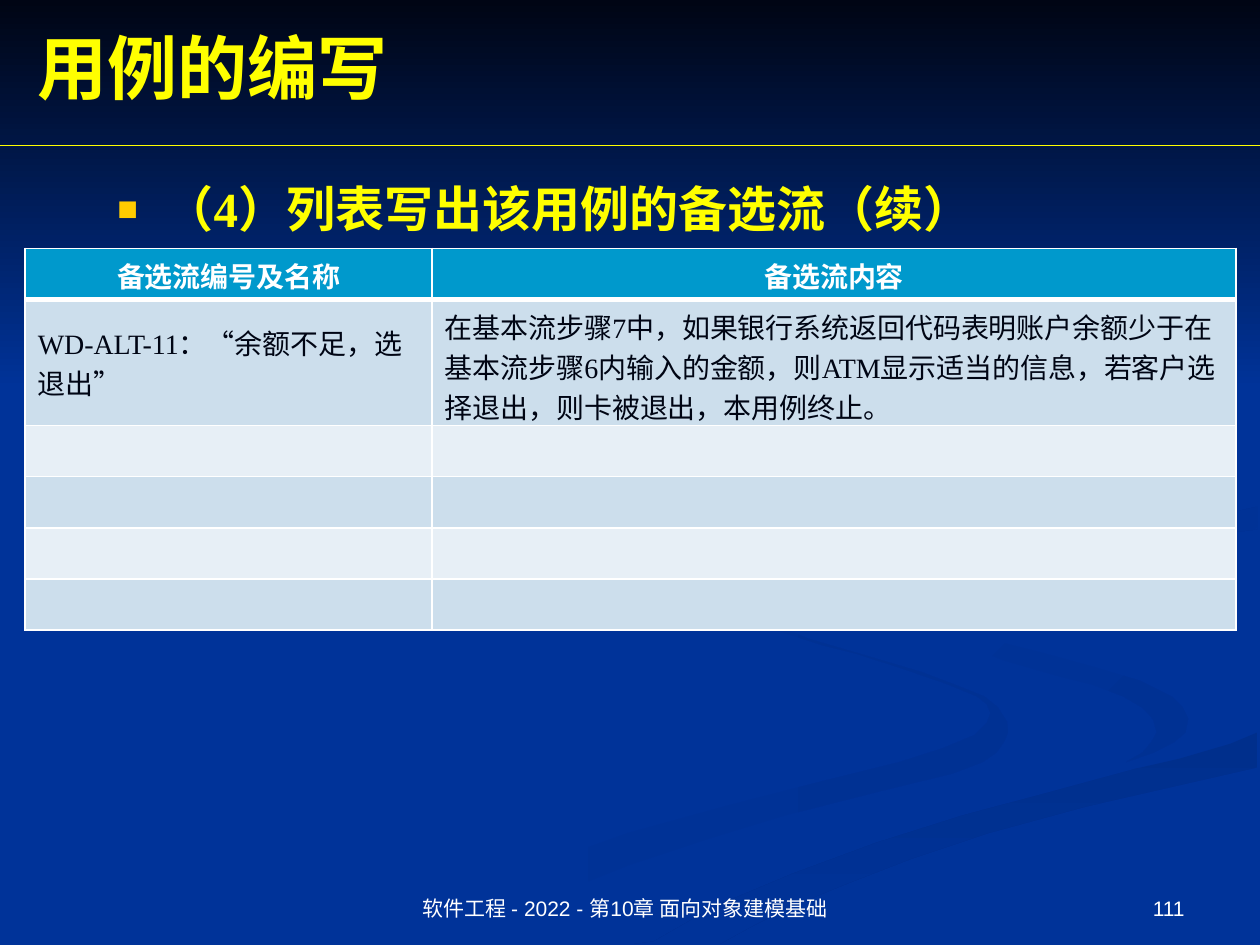
from lxml import etree
from pptx import Presentation
from pptx.dml.color import RGBColor
from pptx.enum.shapes import MSO_CONNECTOR
from pptx.enum.text import MSO_ANCHOR, PP_ALIGN
from pptx.oxml.ns import qn
from pptx.util import Pt

LEFT, CENTER, RIGHT = PP_ALIGN.LEFT, PP_ALIGN.CENTER, PP_ALIGN.RIGHT
TOP, MIDDLE, BOTTOM = MSO_ANCHOR.TOP, MSO_ANCHOR.MIDDLE, MSO_ANCHOR.BOTTOM
STRAIGHT = MSO_CONNECTOR.STRAIGHT

WIDTH, HEIGHT = 720, 540
BLUE, NIGHT, YELLOW, WHITE = "003399", "000514", "FFFF00", "FFFFFF"
AMBER, HEADER = "FFCC00", "0099CC"
BANDS = ["CCDEEC", "E7EFF6"]
SERIF, SANS = "Times New Roman", "Arial"

# Ribbon outlines as points, with start colour, end colour and angle
RIBBONS = [
    ([(414, 330.5), (410.5, 338.5), (422, 350.5), (440, 359), (471, 369),
      (489, 373.5), (514, 381.5), (541.5, 391), (558.5, 398), (564, 402.5),
      (566, 407.5), (564, 413), (557, 420), (539, 427.5), (514, 435.5),
      (469.5, 446.5), (417, 460), (359, 476), (300, 497), (243.5, 523.5),
      (216, 539.5), (260, 539.5), (310.5, 514), (359, 494.5), (406, 479),
      (448.5, 466), (503.5, 452), (544.5, 442), (561.5, 435.5), (569.5, 430),
      (574, 423.5), (576, 418.5), (575.5, 412.5), (570, 404), (562.5, 398),
      (545, 391), (526.5, 384), (491, 373.5), (462, 365), (442, 357),
      (427.5, 349), (417, 340.5)], BLUE, "003193", 0),
    ([(679, 410.5), (676, 404.5), (669.5, 398), (661.5, 394), (651.5, 389),
      (626.5, 381.5), (597.5, 373.5), (570, 366.5), (545.5, 358.5),
      (528, 348), (521.5, 334), (522, 341), (528, 351.5), (537, 360),
      (551.5, 368.5), (574, 377.5), (603.5, 386), (625, 391.5),
      (642, 398), (653, 404.5), (659, 411), (661, 418.5), (658, 424),
      (653, 430), (643.5, 435.5), (659.5, 430), (671, 424), (677.5, 418.5)],
     BLUE, "003193", 45),
    ([(373.5, 538), (362, 539.5), (411, 539.5), (432, 528), (453.5, 517.5),
      (482.5, 505.5), (520, 491), (565, 476), (620, 461), (683.5, 446.5),
      (718.5, 438.5), (718.5, 418.5), (703, 425), (674, 433.5), (650, 439),
      (598.5, 453), (550, 466), (501, 481.5), (453.5, 499), (409.5, 517.5),
      (391, 528)], "002F8C", BLUE, 90),
    ([(562.5, 331), (563, 337.5), (569.5, 344), (580.5, 350.5), (594.5, 357),
      (584.5, 350.5), (579.5, 342.5), (582.5, 335.5), (596, 326),
      (618.5, 319), (645, 313), (687, 306.5), (718.5, 302.5), (718.5, 289.5),
      (696, 294.5), (646.5, 301), (601, 309.5), (575, 318), (565, 326)],
     "003091", BLUE, 45),
]


def color(code):
    return RGBColor.from_string(code)


def add_gradient(shape, start, end, angle):
    shape.shadow.inherit = False
    shape.line.fill.background()
    shape.fill.gradient()
    shape.fill.gradient_angle = (360 - angle) % 360
    for stop, code in zip(shape.fill.gradient_stops, (start, end)):
        stop.color.rgb = color(code)


def add_outline(page, points):
    corners = [(Pt(x), Pt(y)) for x, y in points]
    builder = page.shapes.build_freeform(*corners[0], scale=1.0)
    builder.add_line_segments(corners[1:], close=True)
    return builder.convert_to_shape()


def add_bullet(para, sign, code, percent):
    props = para._p.get_or_add_pPr()
    props.set("marL", str(Pt(27)))
    props.set("indent", str(-Pt(27)))
    tint = etree.SubElement(props, qn("a:buClr"))
    etree.SubElement(tint, qn("a:srgbClr"), val=code)
    etree.SubElement(props, qn("a:buSzPct"), val=str(percent * 1000))
    etree.SubElement(props, qn("a:buFont"), typeface=SANS)
    etree.SubElement(props, qn("a:buChar"), char=sign)


def write(frame, text, size=16, font=SERIF, code=WHITE, bold=False,
          align=LEFT, spacing=None, bullet=None):
    para = frame.paragraphs[0]
    if bullet:
        add_bullet(para, *bullet)
    para.alignment = align
    if spacing:
        para.line_spacing = spacing
    span = para.add_run()
    span.text = text
    span.font.size, span.font.name, span.font.bold = Pt(size), font, bold
    span.font.color.rgb = color(code)


def add_text(page, box, text, anchor=TOP, **style):
    frame = page.shapes.add_textbox(*map(Pt, box)).text_frame
    frame.word_wrap = True
    frame.vertical_anchor = anchor
    write(frame, text, **style)


def set_borders(cell, top, bottom):
    props = cell._tc.get_or_add_tcPr()
    for side, width in (("L", 1), ("R", 1), ("T", top), ("B", bottom)):
        edge = etree.SubElement(props, qn("a:ln" + side), w=str(Pt(width)))
        fill = etree.SubElement(edge, qn("a:solidFill"))
        etree.SubElement(fill, qn("a:srgbClr"), val=WHITE)


def draw_backdrop(page, box):
    left, top, width, height = box
    page.background.fill.solid()
    page.background.fill.fore_color.rgb = color(BLUE)
    for points, start, end, angle in RIBBONS:
        add_gradient(add_outline(page, points), start, end, angle)
    # Dark fade behind the title
    right, low = left + width, top + height
    fade = [(left, top), (left, low), (right, low), (right, top)]
    add_gradient(add_outline(page, fade), NIGHT, BLUE, 90)


def draw_heading(page, box):
    left, top, width, height = box
    add_text(page, (left + 14.4, top + 10, 648, 55.5), "用例的编写",
             anchor=MIDDLE, size=40, code=YELLOW, bold=True)
    # Rule under the title
    low = top + height
    rule = page.shapes.add_connector(
        STRAIGHT, Pt(left), Pt(low), Pt(left + width), Pt(low))
    rule.line.color.rgb = color(YELLOW)
    rule.line.width = Pt(0.75)
    etree.SubElement(rule._element.spPr, qn("a:effectLst"))


def draw_table(page, box, columns, heights, rows):
    table = page.shapes.add_table(
        len(heights), len(columns), *map(Pt, box)).table
    for column, width in zip(table.columns, columns):
        column.width = Pt(width)
    for number, (row, height) in enumerate(zip(table.rows, heights)):
        row.height = Pt(height)
        head = number == 0
        for place, cell in enumerate(row.cells):
            set_borders(cell, 3 if number == 1 else 1, 3 if head else 1)
            cell.fill.solid()
            cell.fill.fore_color.rgb = color(
                HEADER if head else BANDS[(number - 1) % 2])
            cell.vertical_anchor = MIDDLE
            if number < len(rows):
                write(cell.text_frame, rows[number][place], bold=head,
                      code=WHITE if head else NIGHT,
                      align=CENTER if head else LEFT)


def draw_footer(page, box):
    left, top, width, height = box
    add_text(page, (left + 224, top, 266.4, height),
             "软件工程 - 2022 - 第10章 面向对象建模基础",
             anchor=BOTTOM, size=12, font=SANS, align=CENTER)
    add_text(page, (left + width - 204, top, 168, height), "111",
             anchor=BOTTOM, size=12, font=SANS, align=RIGHT)


def main():
    deck = Presentation()
    deck.slide_width, deck.slide_height = Pt(WIDTH), Pt(HEIGHT)
    page = deck.slides.add_slide(deck.slide_layouts[6])
    draw_backdrop(page, (0, 0, WIDTH, 222))
    draw_heading(page, (0, 0, WIDTH, 83))
    add_text(page, (60, 102, 606, 54), "（4）列表写出该用例的备选流（续）",
             size=28, code=YELLOW, bold=True, spacing=0.9,
             bullet=("■", AMBER, 70))
    draw_table(
        page, (14.4, 142, 692, 218), [232.6, 459.4], [29.2, 72] + [29.2] * 4,
        [("备选流编号及名称", "备选流内容"),
         ("WD-ALT-11：“余额不足，选退出”",
          "在基本流步骤7中，如果银行系统返回代码表明账户余额少于"
          "在基本流步骤6内输入的金额，则ATM显示适当的信息，"
          "若客户选择退出，则卡被退出，本用例终止。")])
    draw_footer(page, (0, 492, WIDTH, 37.4))
    deck.save("out.pptx")


if __name__ == "__main__":
    main()
